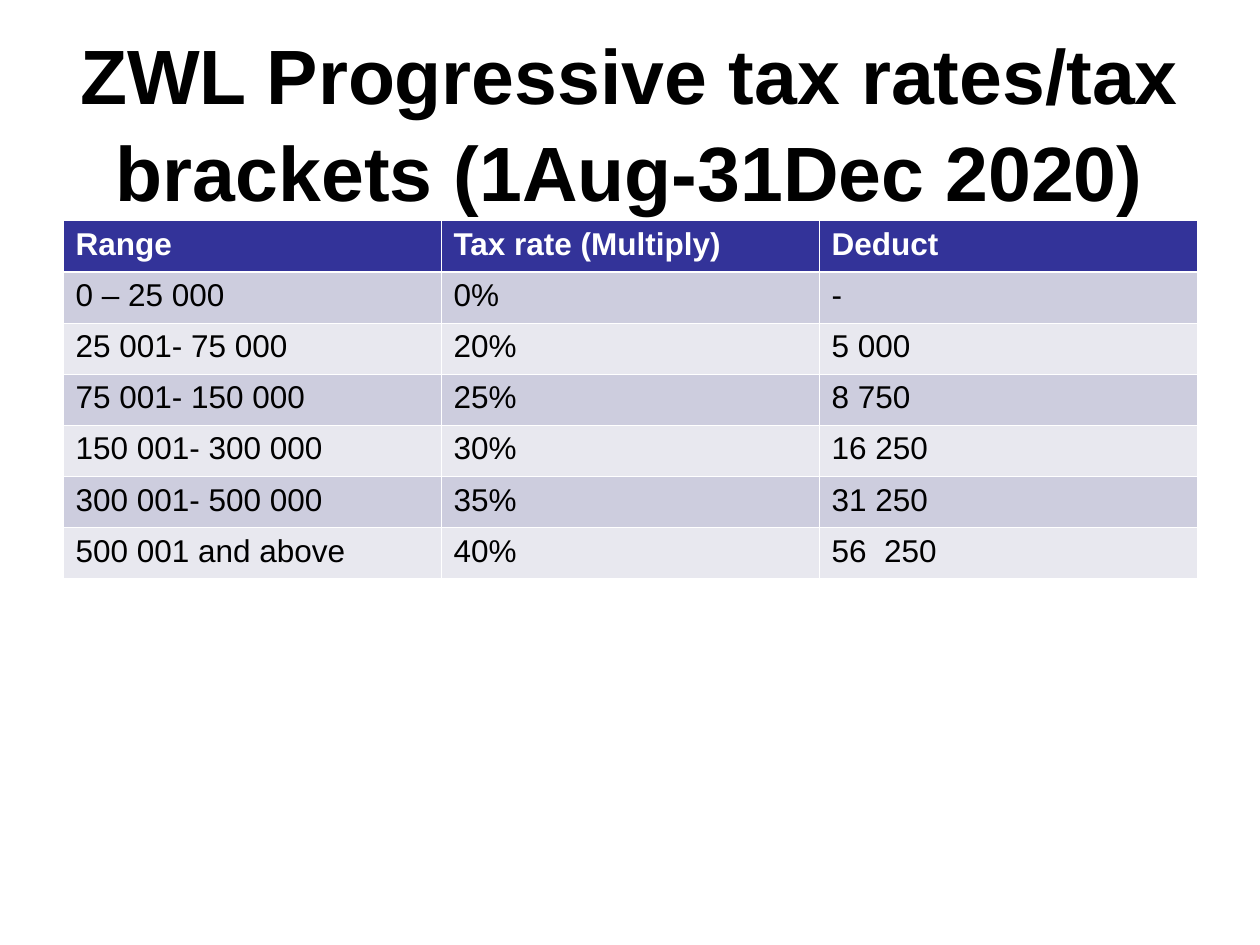
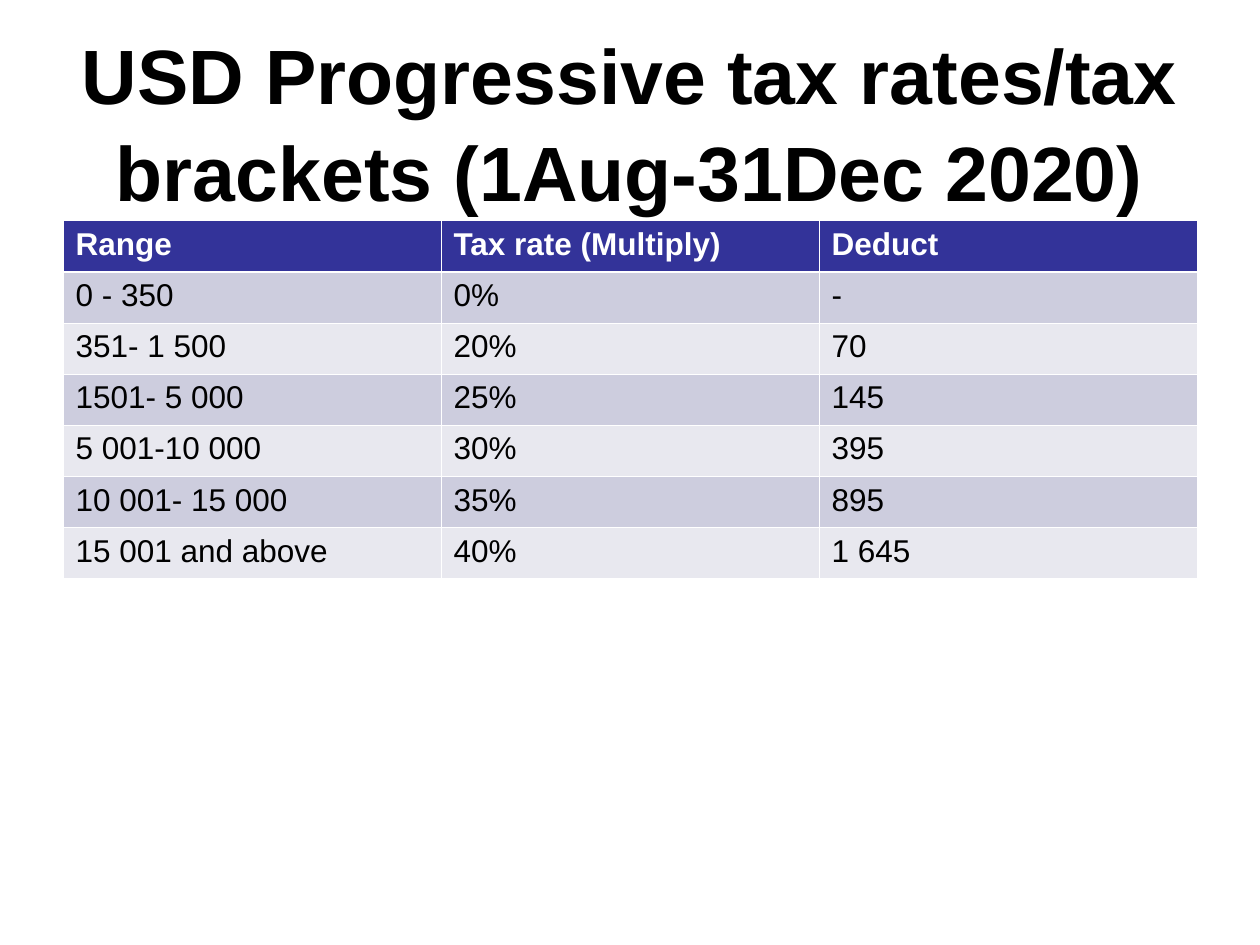
from pptx import Presentation
from pptx.dml.color import RGBColor
from pptx.enum.text import MSO_ANCHOR, MSO_AUTO_SIZE, PP_ALIGN
from pptx.oxml.ns import qn
from pptx.util import Cm, Pt
from lxml.etree import SubElement

WHITE = RGBColor(0xFF, 0xFF, 0xFF)
BLACK = RGBColor(0x00, 0x00, 0x00)
INDIGO = RGBColor(0x33, 0x33, 0x99)
BANDS = (RGBColor(0xCD, 0xCD, 0xDE), RGBColor(0xE8, 0xE8, 0xEF))
FONT = "Arial"

LEFT, WIDTH = Cm(1.27), Cm(22.86)
TABLE_TOP, ROW_HEIGHT = Cm(4.45), Cm(1.03)
THIN, THICK = Pt(0.45), Pt(1.47)

HEADINGS = ("Range", "Tax rate (Multiply)", "Deduct")
RATES = ("0%", "20%", "25%", "30%", "35%", "40%")
TITLE = "{} Progressive tax rates/tax brackets (1Aug-31Dec 2020)"
# Currency: (ranges, deductions), one entry per tax rate
BRACKETS = {
    "ZWL": (
        ("0 – 25 000", "25 001- 75 000", "75 001- 150 000",
         "150 001- 300 000", "300 001- 500 000", "500 001 and above"),
        ("-", "5 000", "8 750", "16 250", "31 250", "56  250"),
    ),
    "USD": (
        ("0 - 350", "351- 1 500", "1501- 5 000",
         "5 001-10 000", "10 001- 15 000", "15 001 and above"),
        ("-", "70", "145", "395", "895", "1 645"),
    ),
}


def style_font(paragraph, size, color, bold):
    font = paragraph.font
    font.name, font.size, font.bold = FONT, Pt(size), bold
    font.color.rgb = color


def set_title(slide, text):
    title = slide.shapes.title
    title.left, title.top, title.width, title.height = LEFT, Cm(0.76), WIDTH, Cm(3.18)
    frame = title.text_frame
    frame.text = text
    frame.word_wrap = True
    frame.auto_size = MSO_AUTO_SIZE.NONE
    frame.vertical_anchor = MSO_ANCHOR.MIDDLE
    frame.margin_top = Cm(0.28)
    heading = frame.paragraphs[0]
    heading.alignment = PP_ALIGN.CENTER
    heading.line_spacing = 1.04
    style_font(heading, 44, BLACK, True)


def set_borders(cell, top, bottom):
    """Draw white borders; they must come before the fill in the cell's XML."""
    properties = cell._tc.get_or_add_tcPr()
    for side, width in (("L", THIN), ("R", THIN), ("T", top), ("B", bottom)):
        line = SubElement(properties, qn(f"a:ln{side}"), w=str(int(width)))
        fill = SubElement(line, qn("a:solidFill"))
        SubElement(fill, qn("a:srgbClr"), val=str(WHITE))


def fill_cell(cell, text, row):
    is_header = row == 0
    set_borders(cell, THICK if row == 1 else THIN, THICK if is_header else THIN)
    cell.fill.solid()
    cell.fill.fore_color.rgb = INDIGO if is_header else BANDS[(row - 1) % 2]
    cell.text = text
    style_font(cell.text_frame.paragraphs[0], 18,
               WHITE if is_header else BLACK, is_header)


def add_bracket_table(slide, ranges, deductions):
    rows = [HEADINGS, *zip(ranges, RATES, deductions)]
    table = slide.shapes.add_table(len(rows), len(HEADINGS), LEFT, TABLE_TOP,
                                   WIDTH, ROW_HEIGHT * len(rows)).table
    for row, texts in enumerate(rows):
        for column, text in enumerate(texts):
            fill_cell(table.cell(row, column), text, row)


def main():
    deck = Presentation()
    deck.slide_width, deck.slide_height = Cm(25.4), Cm(19.05)
    title_only = deck.slide_layouts[5]
    for currency, (ranges, deductions) in BRACKETS.items():
        slide = deck.slides.add_slide(title_only)
        set_title(slide, TITLE.format(currency))
        add_bracket_table(slide, ranges, deductions)
    deck.save("out.pptx")


if __name__ == "__main__":
    main()
